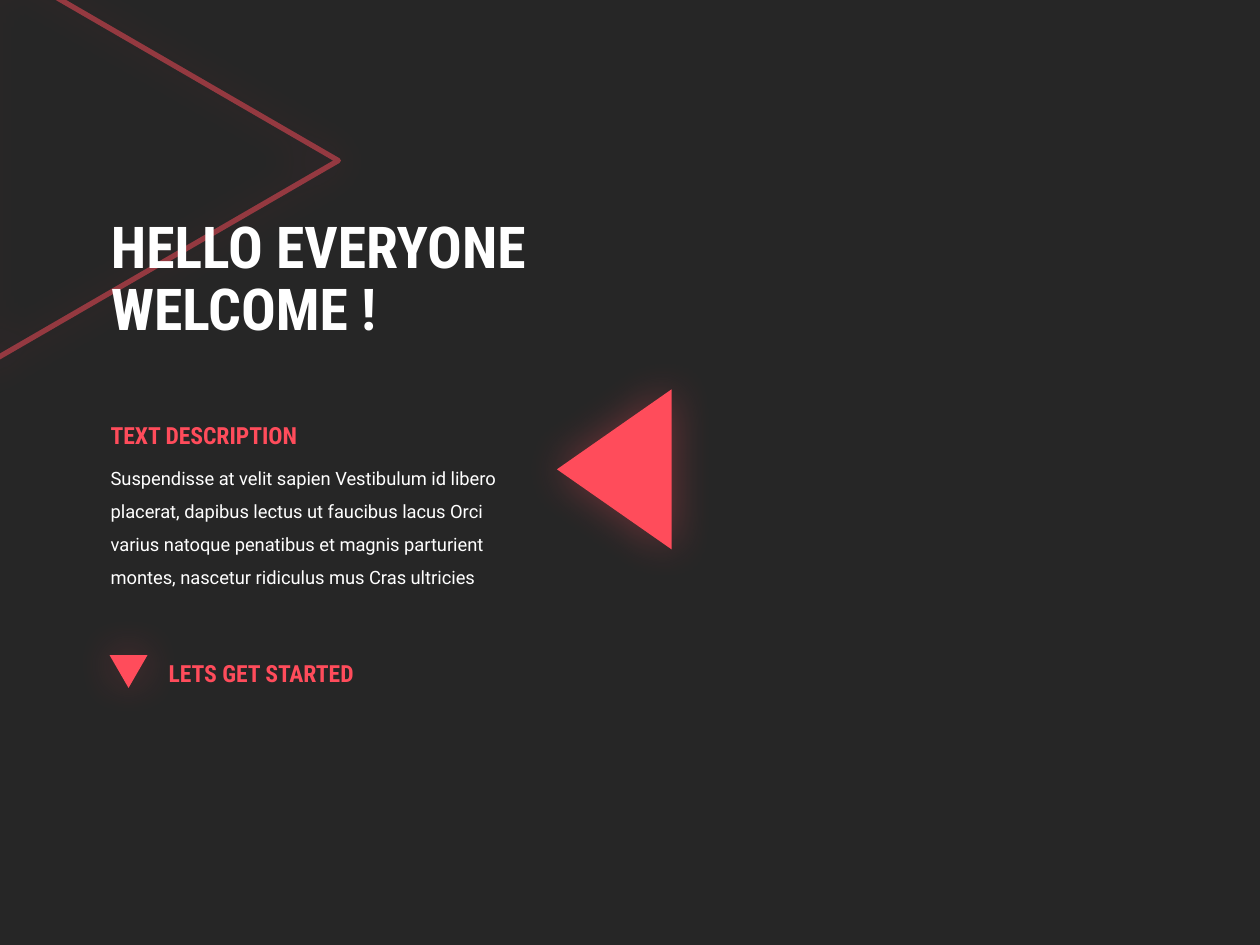
from lxml.etree import SubElement
from pptx import Presentation
from pptx.dml.color import RGBColor
from pptx.enum.shapes import MSO_SHAPE
from pptx.enum.text import MSO_ANCHOR, MSO_AUTO_SIZE, PP_ALIGN
from pptx.oxml.ns import qn
from pptx.util import Inches, Pt

DARK, WHITE, CORAL = "262626", "FFFFFF", "FF4C5B"
HEAD_FONT, BODY_FONT = "Roboto Condensed", "Roboto"


def rgb(color):
    return RGBColor.from_string(color)


def add_alpha(parent, percent):
    SubElement(parent, qn("a:alpha"), val=str(percent * 1000))


class Deck:
    """Holds the style and the current slide."""

    def __init__(self, slide):
        self.s = slide
        fill = slide.background.fill
        fill.solid()
        fill.fore_color.rgb = rgb(DARK)

    def set_text(self, tf, text, size, color, font=HEAD_FONT, bold=True, spacing=1.0):
        tf.word_wrap = True
        p = tf.paragraphs[0]
        p.text = text
        p.alignment = PP_ALIGN.LEFT
        p.line_spacing = spacing
        p.font.name, p.font.size, p.font.bold = font, Pt(size), bold
        p.font.color.rgb = rgb(color)

    def title(self, box, text):
        sp = self.s.shapes.title
        sp.left, sp.top, sp.width, sp.height = map(Inches, box)
        sp.text_frame.vertical_anchor = MSO_ANCHOR.MIDDLE
        sp.text_frame.auto_size = MSO_AUTO_SIZE.NONE
        self.set_text(sp.text_frame, text, 33, WHITE, spacing=0.9)

    def text(self, box, text, size=13.5, color=CORAL, **style):
        tf = self.s.shapes.add_textbox(*map(Inches, box)).text_frame
        self.set_text(tf, text, size, color, **style)
        tf.auto_size = MSO_AUTO_SIZE.SHAPE_TO_FIT_TEXT

    def triangle(self, box, rotation, outlined=False):
        sp = self.s.shapes.add_shape(MSO_SHAPE.ISOSCELES_TRIANGLE, *map(Inches, box))
        sp.rotation = rotation
        if outlined:
            sp.fill.background()
            sp.line.width = Pt(3)
            sp.line.color.rgb = rgb(CORAL)
            add_alpha(sp._element.spPr.find(".//" + qn("a:srgbClr")), 50)
        else:
            sp.fill.solid()
            sp.fill.fore_color.rgb = rgb(CORAL)
            sp.line.fill.background()
        self.glow(sp)
        return sp

    def glow(self, sp):
        """Soft coloured shadow centred on the shape."""
        sp.shadow.inherit = False
        effects = sp._element.spPr.find(qn("a:effectLst"))
        shadow = SubElement(effects, qn("a:outerShdw"), blurRad=str(Pt(25)),
                            dist="0", dir="0", algn="ctr", rotWithShape="0")
        add_alpha(SubElement(shadow, qn("a:srgbClr"), val=CORAL), 35)


def main():
    prs = Presentation()
    prs.slide_width, prs.slide_height = Inches(10), Inches(7.5)
    s = prs.slides.add_slide(prs.slide_layouts[0])
    subtitle = s.placeholders[1]._element
    subtitle.getparent().remove(subtitle)
    deck = Deck(s)

    # Title over the large outlined triangle
    outline = deck.triangle((-0.39, -0.15, 3.3, 2.85), 90, outlined=True)
    s.shapes.title._element.addprevious(outline._element)
    deck.title((0.78, 1.44, 4.22, 1.58), "HELLO EVERYONE\nWELCOME !")

    # Description with its pointer
    deck.triangle((4.24, 3.27, 1.27, 0.91), 270)
    deck.text((0.78, 3.57, 3.38, 1.13),
              "Suspendisse at velit sapien Vestibulum id libero placerat, dapibus "
              "lectus ut faucibus lacus Orci varius natoque penatibus et magnis "
              "parturient montes, nascetur ridiculus mus Cras ultricies",
              10.5, WHITE, font=BODY_FONT, bold=False, spacing=1.5)
    deck.text((0.78, 3.29, 1.84, 0.33), "TEXT DESCRIPTION")

    # Call to action
    deck.triangle((0.87, 5.2, 0.3, 0.26), 180)
    deck.text((1.24, 5.18, 1.84, 0.33), "LETS GET STARTED")

    prs.save("out.pptx")


if __name__ == "__main__":
    main()
